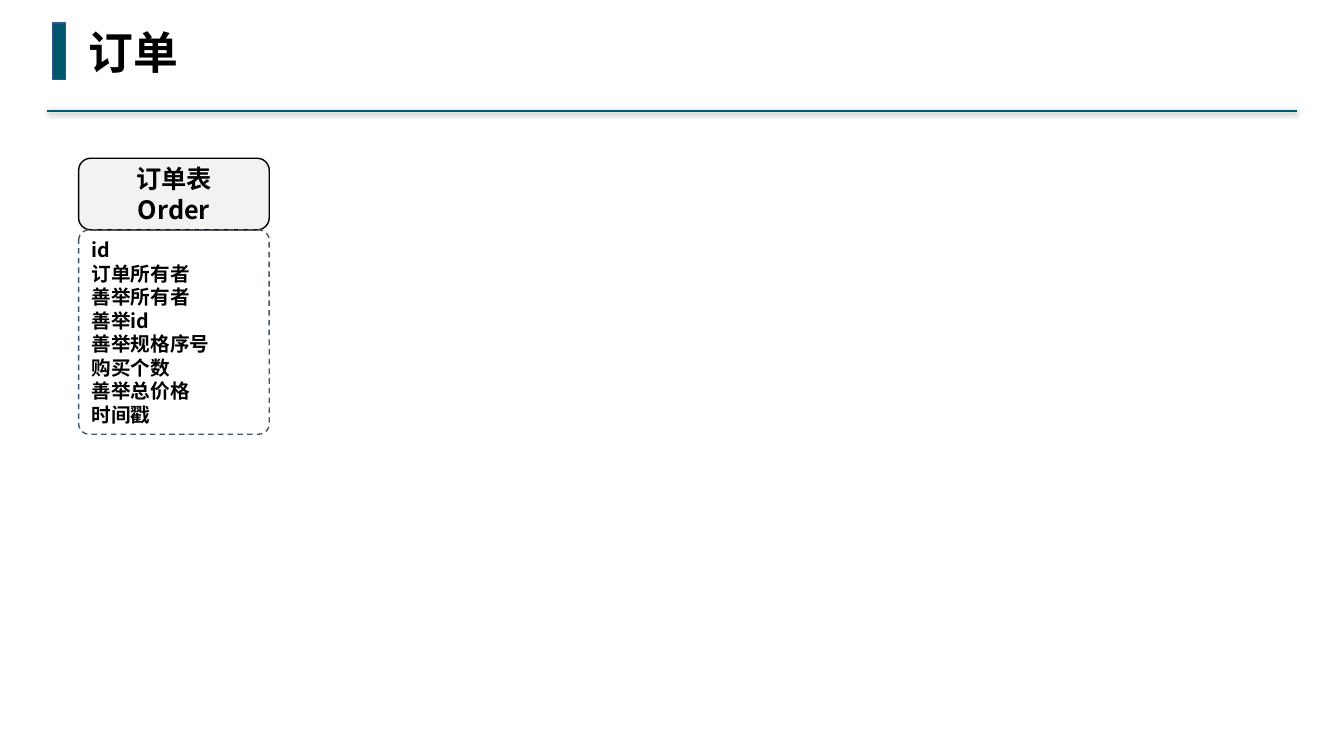
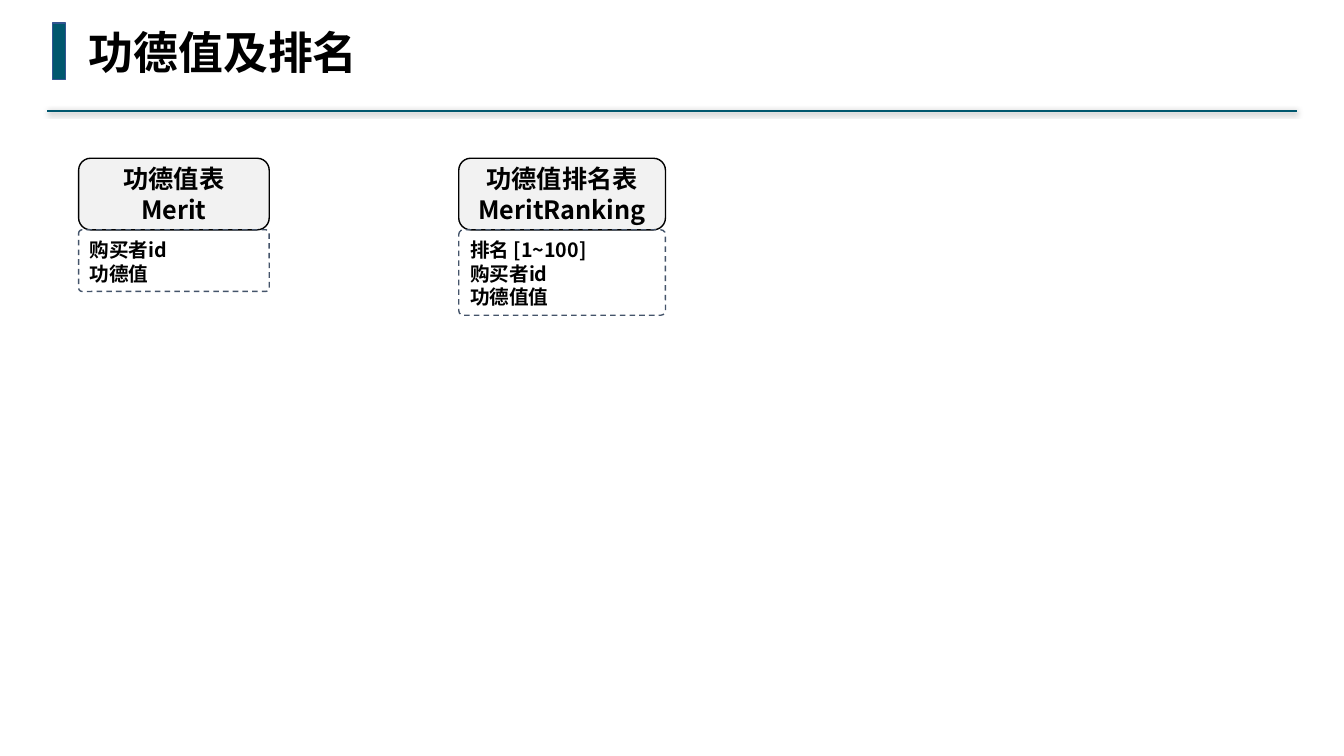
from dataclasses import dataclass
from typing import Any

from lxml.etree import SubElement
from pptx import Presentation
from pptx.dml.color import RGBColor
from pptx.enum.dml import MSO_LINE_DASH_STYLE as DASH
from pptx.enum.shapes import MSO_CONNECTOR as CONN, MSO_SHAPE as SHAPE
from pptx.enum.text import MSO_ANCHOR as ANCHOR, MSO_AUTO_SIZE as FIT, PP_ALIGN as ALIGN
from pptx.oxml import parse_xml
from pptx.oxml.ns import nsdecls, qn
from pptx.util import Inches, Pt

# Shared colours, fonts and measures
TEAL = RGBColor(0x00, 0x57, 0x6E)
BLUE = RGBColor(0x32, 0x54, 0x91)
SLATE = RGBColor(0x44, 0x54, 0x6A)
GREY = RGBColor(0xF2, 0xF2, 0xF2)
BLACK = RGBColor(0, 0, 0)
CJK = "Noto Sans CJK SC"
TITLE_FONT = dict(name="Courier New", size=Pt(32), bold=True)
HEAD_FONT = dict(name=CJK, size=Pt(18), bold=True)
FIELD_FONT = dict(name=CJK, size=Pt(14), bold=True)
TOP, HEAD_H = 1.57, 0.71
FIELD_H, FIELD_PAD = 0.236, 0.14
SHADOW = (
    f'<a:effectLst {nsdecls("a")}><a:outerShdw blurRad="50800" dist="12700" dir="5400000">'
    '<a:srgbClr val="000000"><a:alpha val="40000"/></a:srgbClr>'
    "</a:outerShdw></a:effectLst>"
)


@dataclass
class Entity:
    """A data table: heading lines above a list of fields."""
    heading: list[str]
    fields: list[str]
    left: float = 0.78
    width: float = 1.89


@dataclass
class Page:
    title: str
    title_width: float
    entities: list[Entity]


PAGES = [
    Page("订单", 1.1, [
        Entity(["订单表", "Order"],
               ["id", "订单所有者", "善举所有者", "善举id", "善举规格序号",
                "购买个数", "善举总价格", "时间戳"]),
    ]),
    Page("功德值及排名", 2.89, [
        Entity(["功德值表", "Merit"], ["购买者id", "功德值"]),
        Entity(["功德值排名表", "MeritRanking"],
               ["排名 [1~100]", "购买者id", "功德值值"], 4.55, 2.05),
    ]),
]


def apply(target: Any, values: dict[str, Any]) -> None:
    for name, value in values.items():
        setattr(target, name, value)


def write(tf: Any, lines: list[str], font: dict[str, Any], align: ALIGN,
          frame: dict[str, Any]) -> None:
    apply(tf, frame)
    for i, line in enumerate(lines):
        p = tf.add_paragraph() if i else tf.paragraphs[0]
        p.alignment = align
        r = p.add_run()
        r.text = line
        apply(r.font, font)
        r.font.color.rgb = BLACK
        SubElement(r.font._element, qn("a:ea")).set("typeface", CJK)


def add_box(s: Any, kind: SHAPE, box: tuple[float, ...], fill: RGBColor | None,
            line: RGBColor) -> Any:
    sp = s.shapes.add_shape(kind, *map(Inches, box))
    sp.shadow.inherit = False
    if fill is None:
        sp.fill.background()
    else:
        sp.fill.solid()
        sp.fill.fore_color.rgb = fill
    sp.line.color.rgb = line
    sp.line.width = Pt(1)
    return sp


def add_header(s: Any, page: Page) -> None:
    # Rule with a soft shadow, then the accent bar
    rule = s.shapes.add_connector(CONN.STRAIGHT, Inches(12.86), Inches(1.1),
                                  Inches(0.47), Inches(1.1))
    rule.line.color.rgb = TEAL
    rule.line.width = Pt(1.5)
    rule._element.spPr.append(parse_xml(SHADOW))
    add_box(s, SHAPE.RECTANGLE, (0.52, 0.23, 0.13, 0.56), TEAL, BLUE)
    # Title
    title = s.shapes.title
    apply(title, dict(left=Inches(0.78), top=Inches(0.19),
                      width=Inches(page.title_width), height=Inches(0.64)))
    write(title.text_frame, [page.title], TITLE_FONT, ALIGN.LEFT,
          dict(word_wrap=False, auto_size=FIT.SHAPE_TO_FIT_TEXT,
               vertical_anchor=ANCHOR.TOP))


def add_entity(s: Any, entity: Entity) -> None:
    # Heading
    sp = add_box(s, SHAPE.ROUNDED_RECTANGLE,
                 (entity.left, TOP, entity.width, HEAD_H), GREY, BLACK)
    margins = {f"margin_{side}": Inches(0.04)
               for side in ("left", "top", "right", "bottom")}
    write(sp.text_frame, entity.heading, HEAD_FONT, ALIGN.CENTER,
          dict(word_wrap=False, vertical_anchor=ANCHOR.MIDDLE, **margins))
    # Field list, as tall as its lines
    height = FIELD_PAD + FIELD_H * len(entity.fields)
    sp = add_box(s, SHAPE.ROUNDED_RECTANGLE,
                 (entity.left, TOP + HEAD_H, entity.width, height), None, SLATE)
    sp.adjustments[0] = 0.055
    sp.line.dash_style = DASH.DASH
    write(sp.text_frame, entity.fields, FIELD_FONT, ALIGN.LEFT,
          dict(word_wrap=True, vertical_anchor=ANCHOR.BOTTOM))


def main() -> None:
    prs = Presentation()
    prs.slide_width, prs.slide_height = Inches(13.33), Inches(7.5)
    title_only = prs.slide_layouts[5]
    for page in PAGES:
        s = prs.slides.add_slide(title_only)
        add_header(s, page)
        for entity in page.entities:
            add_entity(s, entity)
    prs.save("out.pptx")


if __name__ == "__main__":
    main()
